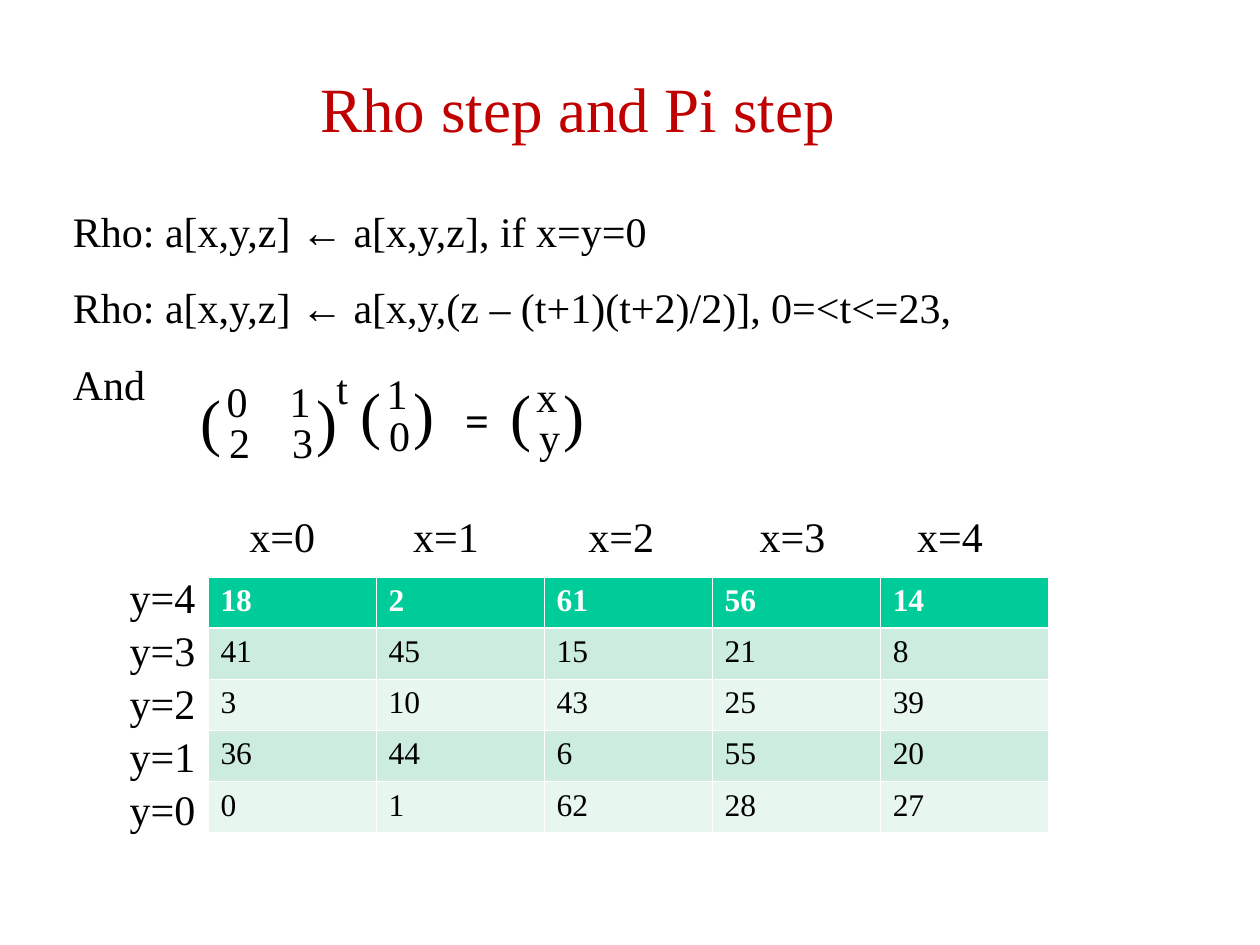
"""Build the slide on the Rho and Pi steps with its offset table."""
from lxml.etree import SubElement
from pptx import Presentation
from pptx.dml.color import RGBColor
from pptx.enum.text import MSO_ANCHOR as Anchor, PP_ALIGN as Align
from pptx.oxml.ns import qn
from pptx.util import Inches, Pt

BLACK = RGBColor(0x00, 0x00, 0x00)
WHITE = RGBColor(0xFF, 0xFF, 0xFF)
RED = RGBColor(0xC0, 0x00, 0x00)
GREEN = RGBColor(0x00, 0xCC, 0x99)
MINT = RGBColor(0xCB, 0xEC, 0xDE)
PALE = RGBColor(0xE7, 0xF6, 0xEF)
SERIF, ARROW_FONT = "Times New Roman", "Arial"

STEPS = [
    ["Rho: a[x,y,z] ", "←", " a[x,y,z], if x=y=0"],
    ["Rho: a[x,y,z] ", "←", " a[x,y,(z – (t+1)(t+2)/2)], 0=<t<=23,"],
    ["And"],
]
OFFSETS = [
    [18, 2, 61, 56, 14],
    [41, 45, 15, 21, 8],
    [3, 10, 43, 25, 39],
    [36, 44, 6, 55, 20],
    [0, 1, 62, 28, 27],
]
TABLE_LEFT, TABLE_TOP, TABLE_WIDTH, TABLE_HEIGHT = 1.65, 4.58, 6.67, 2.03
COLUMN_LABEL_LEFTS = [1.88, 3.18, 4.57, 5.93, 7.18]
ROW_LABEL_TOP, ROW_LABEL_STEP = 4.49, 0.42


def style(font, size, color=BLACK, bold=False, name=SERIF):
    """Set the look of a font."""
    font.name, font.size, font.bold = name, Pt(size), bold
    font.color.rgb = color


def add_title(page, text):
    """Fill and place the title placeholder."""
    title = page.shapes.title
    title.left, title.top = Inches(2.38), Inches(0.5)
    title.width, title.height = Inches(4.41), Inches(0.7)
    frame = title.text_frame
    frame.text = text
    frame.word_wrap, frame.vertical_anchor = False, Anchor.TOP
    para = frame.paragraphs[0]
    para.alignment = Align.CENTER
    style(para.runs[0].font, 36, RED)


def add_label(page, text, left, top, width=0.72, height=0.5, size=24,
              align=Align.CENTER, bold=False, tab=None):
    """Add a one-line text box, with a tab stop where one is given."""
    box = page.shapes.add_textbox(*map(Inches, (left, top, width, height)))
    frame = box.text_frame
    frame.word_wrap = tab is not None
    para = frame.paragraphs[0]
    para.text, para.alignment = text, align
    if tab is not None:
        stops = SubElement(para._p.get_or_add_pPr(), qn("a:tabLst"))
        SubElement(stops, qn("a:tab"), pos=str(Inches(tab)), algn="l")
    style(para.runs[0].font, size, bold=bold)


def add_steps(page):
    """Add the lines that define the Rho step."""
    box = page.shapes.add_textbox(*map(Inches, (0.48, 1.58, 7.38, 1.72)))
    frame = box.text_frame
    frame.word_wrap = False
    for index, parts in enumerate(STEPS):
        para = frame.add_paragraph() if index else frame.paragraphs[0]
        para.space_before = Pt(15 if index else 0)
        for part in parts:
            span = para.add_run()
            span.text = part
            style(span.font, 24, name=ARROW_FONT if part == "←" else SERIF)


def add_matrix(page, rows, left, top):
    """Add a bracketed matrix of two rows and one or two columns."""
    gap = 0.92 if "\t" in rows[0] else 0.42
    add_label(page, "(\t)", left, top, gap + 0.4, 0.7, 36, Align.LEFT, tab=gap)
    entries = [(rows[0], 0.21, -0.05), (rows[1], 0.23, 0.28)]
    for text, shift, drop in entries:
        add_label(page, text, left + shift, top + drop, gap - 0.02,
                  align=Align.LEFT, tab=0.5)


def add_equation(page):
    """Add the matrix equation for x, y and t."""
    add_matrix(page, ["0\t1", "2\t3"], 1.49, 2.98)
    add_label(page, "t", 2.57, 2.83, 0.29)
    add_matrix(page, ["1", "0"], 2.76, 2.92)
    add_label(page, "=", 3.59, 3.08, 0.39, bold=True)
    add_matrix(page, ["x", "y"], 3.95, 2.94)


def add_border(cell, side, width):
    """Draw one white side of a cell."""
    line = SubElement(cell._tc.get_or_add_tcPr(), qn(f"a:ln{side}"),
                      w=str(Pt(width)))
    fill = SubElement(line, qn("a:solidFill"))
    SubElement(fill, qn("a:srgbClr"), val=str(WHITE))


def add_offset_table(page):
    """Add the table of offsets with a green header and banded rows."""
    count = len(OFFSETS)
    place = (TABLE_LEFT, TABLE_TOP, TABLE_WIDTH, TABLE_HEIGHT)
    table = page.shapes.add_table(count, count, *map(Inches, place)).table
    for row, values in enumerate(OFFSETS):
        header = row == 0
        color = GREEN if header else MINT if row % 2 else PALE
        widths = {"L": 0.45, "R": 0.45, "T": 1.47 if row == 1 else 0.45,
                  "B": 1.47 if header else 0.45}
        for column, value in enumerate(values):
            cell = table.cell(row, column)
            cell.text = str(value)
            style(cell.text_frame.paragraphs[0].runs[0].font, 18,
                  WHITE if header else BLACK, header)
            for side, width in widths.items():
                add_border(cell, side, width)
            cell.fill.solid()
            cell.fill.fore_color.rgb = color


def add_axis_labels(page):
    """Name the columns by x and the rows by y."""
    for column, left in enumerate(COLUMN_LABEL_LEFTS):
        add_label(page, f"x={column}", left, 4)
    for row in range(len(OFFSETS)):
        add_label(page, f"y={len(OFFSETS) - 1 - row}", 0.93,
                  ROW_LABEL_TOP + row * ROW_LABEL_STEP)


def main():
    """Build and save the deck."""
    deck = Presentation()
    deck.slide_width, deck.slide_height = Inches(10), Inches(7.5)
    page = deck.slides.add_slide(deck.slide_layouts[5])
    add_title(page, "Rho step and Pi step")
    add_steps(page)
    add_equation(page)
    add_offset_table(page)
    add_axis_labels(page)
    deck.save("out.pptx")


if __name__ == "__main__":
    main()
